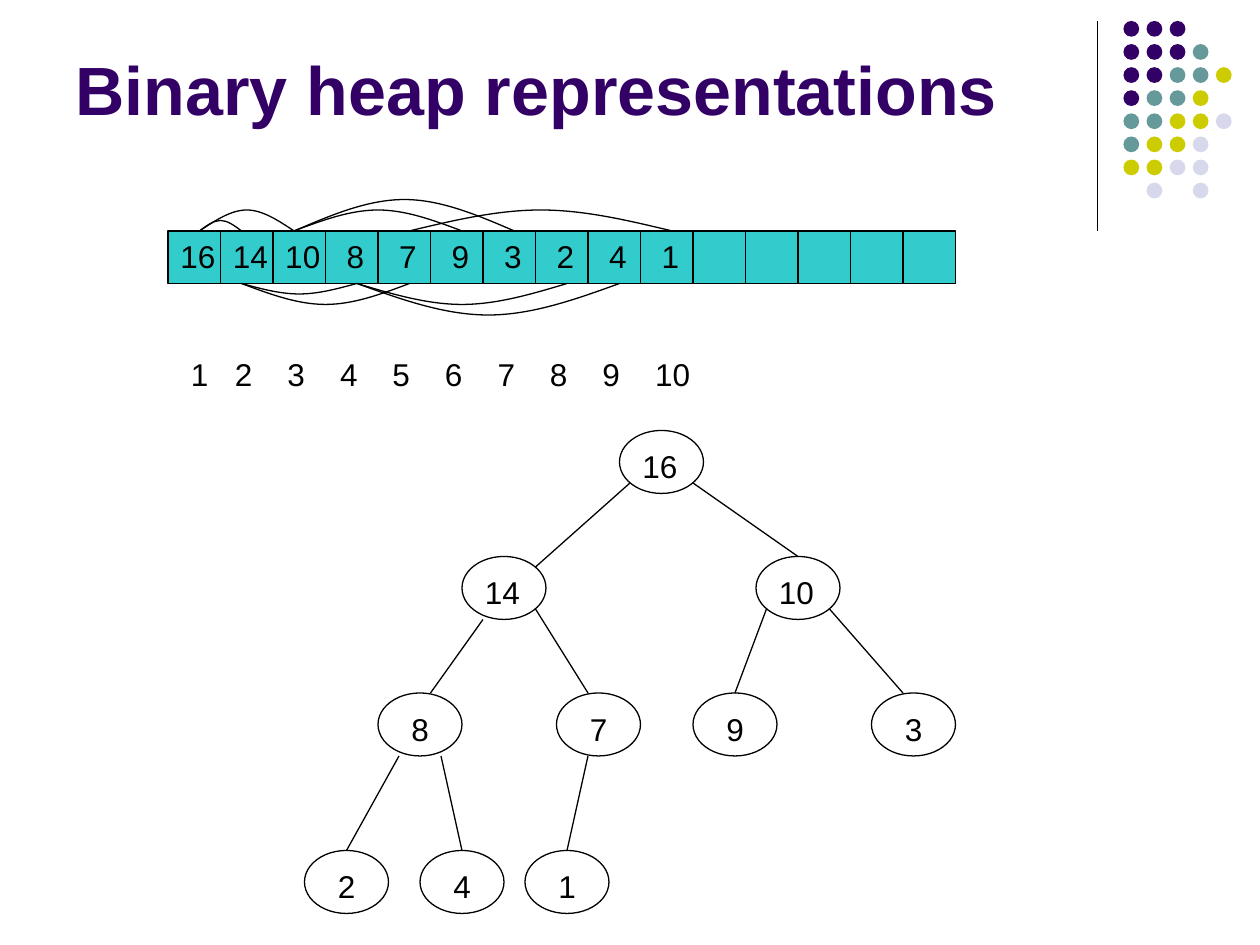
from lxml.etree import SubElement
from pptx import Presentation
from pptx.dml.color import RGBColor
from pptx.enum.shapes import MSO_CONNECTOR as Connector, MSO_SHAPE as Shape
from pptx.enum.text import MSO_ANCHOR as Anchor, PP_ALIGN as Align
from pptx.oxml.ns import qn
from pptx.util import Cm, Pt

TITLE = "Binary heap representations"
HEAP = [16, 14, 10, 8, 7, 9, 3, 2, 4, 1]
CELLS = 15
COLORS = {"black": "000000", "purple": "330066", "teal": "669999",
          "olive": "CCCC00", "lilac": "D8D8EC", "cell": "33CCCC"}
DOT_KEYS = {"p": "purple", "t": "teal", "o": "olive", "l": "lilac"}
DOT_ROWS = ["ppp", "pppt", "pptto", "ptto", "ttool", "tool", "ooll", ".l.l"]

# All places below count in twelfths of an inch.
CELL_LEFT, CELL_TOP, CELL_SIZE = 16, 22, 5
DOT_LEFT, DOT_TOP, DOT_PITCH, DOT_SIZE = 107, 2, 2.2, 1.5
NODE_WIDTH, NODE_HEIGHT = 8, 6
ARC_ENDS = [19, 23] + [28] + list(range(34, 65, 5))
# One arc from parent to each child in heap order; negative rises above the array.
ARC_HEIGHTS = [-1, -2, 1, 2, -2, -3, 2, 3, -2]
NODES = [(59, 41), (44, 53), (72, 53), (36, 66), (53, 66), (66, 66), (83, 66),
         (29, 81), (40, 81), (50, 81)]
EDGES = [((60, 46), (51, 54)), ((66, 46), (76, 53)),
         ((46, 59), (41, 66)), ((51, 58), (56, 66)),
         ((73, 58), (70, 66)), ((79, 58), (86, 66)),
         ((38, 72), (33, 81)), ((42, 72), (44, 81)), ((56, 72), (54, 81))]


def grid(*units):
    """Lengths for counts of twelfths of an inch."""
    return [Cm(unit * 2.54 / 12) for unit in units]


def color(name):
    return RGBColor.from_string(COLORS[name])


def outline(item):
    item.line.color.rgb = color("black")
    item.line.width = Pt(0.75)


def add_line(shapes, start, end):
    line = shapes.add_connector(Connector.STRAIGHT, *grid(*start, *end))
    outline(line)
    SubElement(line._element.spPr, qn("a:effectLst"))


def add_shape(shapes, kind, place, fill=None, bordered=True):
    shape = shapes.add_shape(kind, *grid(*place))
    shape.shadow.inherit = False
    if fill:
        shape.fill.solid()
        shape.fill.fore_color.rgb = color(fill)
    else:
        shape.fill.background()
    if bordered:
        outline(shape)
    else:
        shape.line.fill.background()


def style(para, size, name, bold=False):
    for span in para.runs:
        span.font.name = "Arial"
        span.font.size = Pt(size)
        span.font.bold = bold
        span.font.color.rgb = color(name)


def add_text(shapes, place, text, stops=(), align="l"):
    """Text box whose tabs fall on the given stops, measured from its text edge."""
    box = shapes.add_textbox(*grid(*place))
    box.text_frame.word_wrap = True
    para = box.text_frame.paragraphs[0]
    if stops:
        tabs = SubElement(para._p.get_or_add_pPr(), qn("a:tabLst"))
        for stop in grid(*stops):
            SubElement(tabs, qn("a:tab"), pos=str(int(stop)), algn=align)
    para.text = text
    style(para, 18, "black")


def add_arc(shapes, left, right, base, height):
    """Smooth bump of two Bezier curves with evenly spaced control points."""
    step = (right - left) / 6
    rises = [0, 0.5, 1, 1, 1, 0.5, 0]
    points = [tuple(grid(left + i * step, base + rise * height))
              for i, rise in enumerate(rises)]
    builder = shapes.build_freeform(*points[0], scale=1.0)
    builder.add_line_segments(points[1:], close=False)
    arc = builder.convert_to_shape()
    arc.shadow.inherit = False
    arc.fill.background()
    outline(arc)
    outline_path = next(arc._element.iter(qn("a:path")))
    segments = outline_path.findall(qn("a:lnTo"))
    for first in (0, 3):
        curve = SubElement(outline_path, qn("a:cubicBezTo"))
        for segment in segments[first:first + 3]:
            curve.append(segment[0])
            outline_path.remove(segment)


def add_decoration(slide):
    add_line(slide.shapes, (104.5, 2), (104.5, 22))
    dots = slide.shapes.add_group_shape().shapes
    for row, keys in enumerate(DOT_ROWS):
        for column, key in enumerate(keys):
            if key in DOT_KEYS:
                place = (DOT_LEFT + column * DOT_PITCH, DOT_TOP + row * DOT_PITCH,
                         DOT_SIZE, DOT_SIZE)
                add_shape(dots, Shape.OVAL, place, DOT_KEYS[key], bordered=False)


def add_title(slide):
    title = slide.shapes.title
    title.left, title.top, title.width, title.height = grid(6, 1.5, 99, 11.4)
    title.text_frame.text = TITLE
    title.text_frame.vertical_anchor = Anchor.BOTTOM
    para = title.text_frame.paragraphs[0]
    para.alignment = Align.LEFT
    style(para, 39, "purple", bold=True)


def add_array(slide):
    array = slide.shapes.add_group_shape().shapes
    bottom = CELL_TOP + CELL_SIZE
    add_shape(array, Shape.RECTANGLE,
              (CELL_LEFT, CELL_TOP, CELLS * CELL_SIZE, CELL_SIZE), "cell")
    for cell in range(1, CELLS):
        x = CELL_LEFT + cell * CELL_SIZE
        add_line(array, (x, CELL_TOP), (x, bottom))
    followers = range(1, len(HEAP))
    add_text(array, (CELL_LEFT, CELL_TOP, 74, 4.8), "\t".join(map(str, HEAP)),
             [1.65 + CELL_SIZE * i for i in followers], "ctr")
    add_text(array, (17, 33.2, 74, 4.8),
             "\t".join(str(i + 1) for i in range(len(HEAP))),
             [CELL_SIZE * i - 0.8 for i in followers])
    for child, height in enumerate(ARC_HEIGHTS, start=1):
        parent = (child - 1) // 2
        base = CELL_TOP if height < 0 else bottom
        add_arc(array, ARC_ENDS[parent], ARC_ENDS[child], base, height)


def add_tree(slide):
    for start, end in EDGES:
        add_line(slide.shapes, start, end)
    for value, (x, y) in zip(HEAP, NODES):
        node = slide.shapes.add_group_shape().shapes
        add_shape(node, Shape.OVAL, (x, y, NODE_WIDTH, NODE_HEIGHT))
        indent = 1 if value > 9 else 2
        add_text(node, (x + indent, y + 1, 7, 4.8), str(value))


def main():
    deck = Presentation()
    deck.slide_width, deck.slide_height = Cm(25.4), Cm(19.05)
    slide = deck.slides.add_slide(deck.slide_layouts[5])
    add_decoration(slide)
    add_title(slide)
    add_array(slide)
    add_tree(slide)
    deck.save("out.pptx")


if __name__ == "__main__":
    main()
